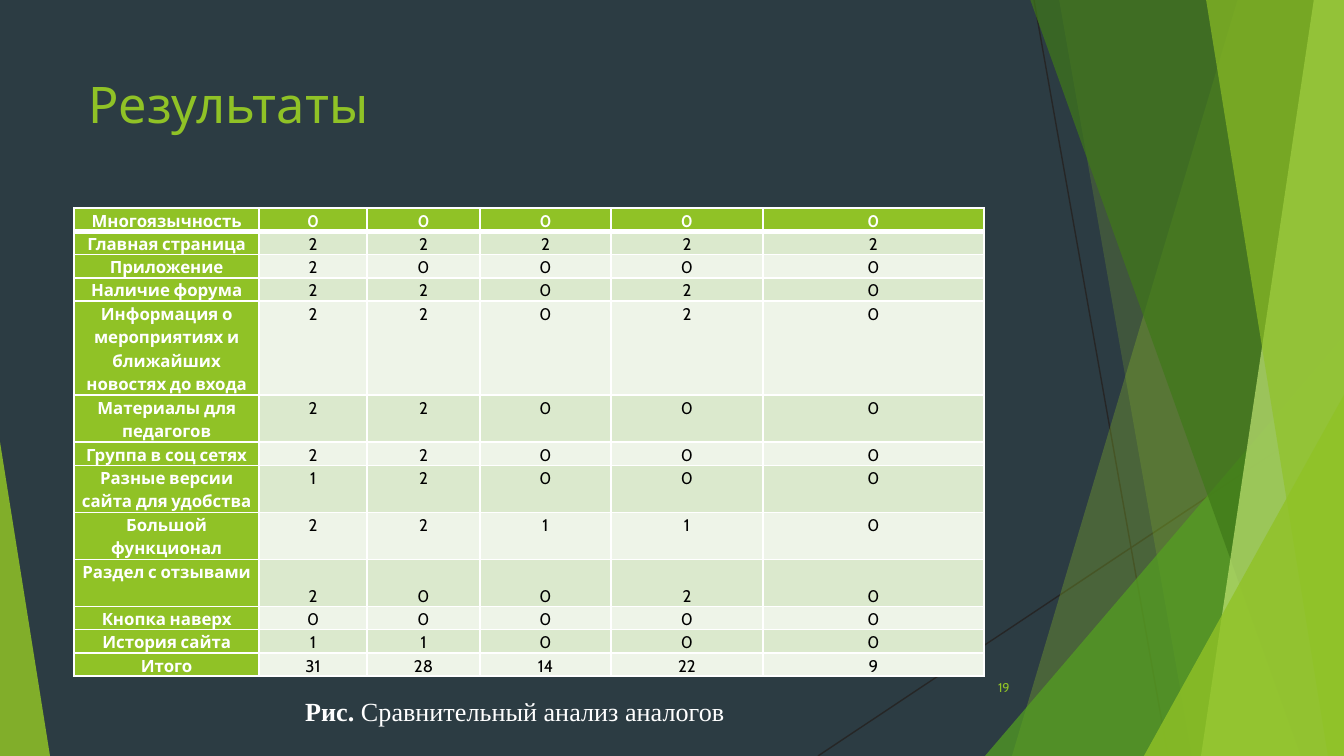
import dataclasses
import typing

import pptx
import pptx.dml.color
import pptx.enum.shapes
import pptx.enum.text
import pptx.oxml
import pptx.oxml.ns
import pptx.util

EMU_PER_PX = 914400 / 134.4
SLIDE_WIDTH, SLIDE_HEIGHT = 1344, 756

RGBColor = pptx.dml.color.RGBColor
BACKGROUND = RGBColor(0x2C, 0x3C, 0x43)
LIME = RGBColor(0x90, 0xC2, 0x26)
GREEN = RGBColor(0x54, 0xA0, 0x21)
FOREST = RGBColor(0x3F, 0x78, 0x19)
PALE_LIME = RGBColor(0xC0, 0xE4, 0x74)
CHARCOAL = RGBColor(0x26, 0x26, 0x26)
WHITE = RGBColor(0xFF, 0xFF, 0xFF)
BLACK = RGBColor(0x00, 0x00, 0x00)
BANDS = (RGBColor(0xEE, 0xF4, 0xE8), RGBColor(0xDB, 0xE9, 0xCD))

BODY_FONT = "Cabin"
CAPTION_FONT = "Times New Roman"
ALIGN = pptx.enum.text.PP_ALIGN
ANCHOR = pptx.enum.text.MSO_ANCHOR


@dataclasses.dataclass
class Panel:
    """Band reaching the right edge, with a slanted left side."""
    top_x: int
    bottom_x: int
    color: RGBColor
    opacity: int


@dataclasses.dataclass
class Corner:
    """Right triangle standing on the bottom edge."""
    left: int
    top: int
    width: int
    apex: int
    color: RGBColor
    opacity: int


@dataclasses.dataclass
class Criterion:
    label: str
    scores: tuple[int, ...]
    lines: int = 1
    anchor: ANCHOR = ANCHOR.TOP


RAYS = [(1034, 0, 1168, 756), (1344, 406, 818, 756)]

FACETS = [
    Panel(1238, 1012, LIME, 30),
    Panel(1059, 1192, LIME, 20),
    Corner(985, 336, 359, 1, GREEN, 72),
    Panel(1030, 1301, FOREST, 70),
    Panel(1314, 1201, PALE_LIME, 70),
    Panel(1206, 1328, LIME, 65),
    Corner(1144, 395, 200, 1, LIME, 80),
    Corner(0, 442, 50, 0, LIME, 85),
]

COLUMN_WIDTHS = [185, 108, 113, 131, 152, 221]
LINE_HEIGHT = 23
CRITERIA = [
    Criterion("Многоязычность", (0, 0, 0, 0, 0)),
    Criterion("Главная страница", (2, 2, 2, 2, 2)),
    Criterion("Приложение", (2, 0, 0, 0, 0)),
    Criterion("Наличие форума", (2, 2, 0, 2, 0)),
    Criterion("Информация о мероприятиях и ближайших новостях до входа", (2, 2, 0, 2, 0), 4),
    Criterion("Материалы для педагогов", (2, 2, 0, 0, 0), 2),
    Criterion("Группа в соц сетях", (2, 2, 0, 0, 0)),
    Criterion("Разные версии сайта для удобства", (1, 2, 0, 0, 0), 2),
    Criterion("Большой функционал", (2, 2, 1, 1, 0), 2),
    Criterion("Раздел с отзывами", (2, 0, 0, 2, 0), 2, ANCHOR.BOTTOM),
    Criterion("Кнопка наверх", (0, 0, 0, 0, 0)),
    Criterion("История сайта", (1, 1, 0, 0, 0)),
    Criterion("Итого", (31, 28, 14, 22, 9)),
]


def px(length: int) -> pptx.util.Emu:
    return pptx.util.Emu(round(length * EMU_PER_PX))


def paint(shape: typing.Any, color: RGBColor, opacity: int) -> None:
    shape.shadow.inherit = False
    shape.line.fill.background()
    shape.fill.solid()
    shape.fill.fore_color.rgb = color
    color_element = shape.fill._xPr.find(".//" + pptx.oxml.ns.qn("a:srgbClr"))
    alpha = pptx.oxml.parse_xml(f'<a:alpha {pptx.oxml.ns.nsdecls("a")} val="{opacity * 1000}"/>')
    color_element.append(alpha)


def draw_ray(slide: typing.Any, x1: int, y1: int, x2: int, y2: int) -> None:
    straight = pptx.enum.shapes.MSO_CONNECTOR.STRAIGHT
    ray = slide.shapes.add_connector(straight, px(x1), px(y1), px(x2), px(y2))
    ray.line.color.rgb = CHARCOAL
    ray.line.width = pptx.util.Pt(0.75)
    effects = pptx.oxml.parse_xml(f'<a:effectLst {pptx.oxml.ns.nsdecls("a")}/>')
    ray._element.spPr.append(effects)


def draw_panel(slide: typing.Any, panel: Panel) -> None:
    builder = slide.shapes.build_freeform(panel.top_x, -1, scale=EMU_PER_PX)
    builder.add_line_segments(
        [(SLIDE_WIDTH, -1), (SLIDE_WIDTH, SLIDE_HEIGHT), (panel.bottom_x, SLIDE_HEIGHT)])
    paint(builder.convert_to_shape(), panel.color, panel.opacity)


def draw_corner(slide: typing.Any, corner: Corner) -> None:
    shape = slide.shapes.add_shape(
        pptx.enum.shapes.MSO_SHAPE.ISOSCELES_TRIANGLE,
        px(corner.left), px(corner.top), px(corner.width), px(SLIDE_HEIGHT - corner.top))
    shape.adjustments[0] = corner.apex
    paint(shape, corner.color, corner.opacity)


def format_run(run: typing.Any, size: float, color: RGBColor,
               font: str = BODY_FONT, bold: bool = False) -> None:
    run.font.size = pptx.util.Pt(size)
    run.font.name = font
    run.font.bold = bold
    run.font.color.rgb = color


def add_text(slide: typing.Any, left: int, top: int, width: int, height: int, text: str) -> typing.Any:
    box = slide.shapes.add_textbox(px(left), px(top), px(width), px(height))
    box.text_frame.word_wrap = True
    box.text_frame.text = text
    return box.text_frame


def add_borders(cell: typing.Any, widths: dict[str, int]) -> None:
    for side, points in widths.items():
        cell._tc.get_or_add_tcPr().append(pptx.oxml.parse_xml(
            f'<a:ln{side} {pptx.oxml.ns.nsdecls("a")} w="{pptx.util.Pt(points)}">'
            f'<a:solidFill><a:srgbClr val="{WHITE}"/></a:solidFill></a:ln{side}>'))


def fill_cell(cell: typing.Any, text: str, row: int, accented: bool) -> None:
    cell.margin_left = cell.margin_right = px(3)
    cell.margin_top = cell.margin_bottom = 0
    add_borders(cell, {"L": 1, "R": 1, "T": 3 if row == 1 else 1, "B": 3 if row == 0 else 1})
    cell.fill.solid()
    cell.fill.fore_color.rgb = LIME if accented else BANDS[row % 2]
    cell.text_frame.text = text
    paragraph = cell.text_frame.paragraphs[0]
    paragraph.alignment = ALIGN.CENTER
    paragraph.line_spacing = 1.15
    format_run(paragraph.runs[0], 9, WHITE if accented else BLACK, bold=accented)


def draw_table(slide: typing.Any, left: int, top: int) -> None:
    total_lines = sum(criterion.lines for criterion in CRITERIA)
    table = slide.shapes.add_table(
        len(CRITERIA), len(COLUMN_WIDTHS), px(left), px(top),
        px(sum(COLUMN_WIDTHS)), px(total_lines * LINE_HEIGHT)).table
    for column, width in zip(table.columns, COLUMN_WIDTHS):
        column.width = px(width)
    for row, criterion in enumerate(CRITERIA):
        table.rows[row].height = px(criterion.lines * LINE_HEIGHT + criterion.lines // 2)
        fill_cell(table.cell(row, 0), criterion.label, row, True)
        for column, score in enumerate(criterion.scores, start=1):
            cell = table.cell(row, column)
            fill_cell(cell, str(score), row, row == 0)
            cell.vertical_anchor = criterion.anchor


def main() -> None:
    presentation = pptx.Presentation()
    presentation.slide_width, presentation.slide_height = px(SLIDE_WIDTH), px(SLIDE_HEIGHT)
    slide = presentation.slides.add_slide(presentation.slide_layouts[6])
    slide.background.fill.solid()
    slide.background.fill.fore_color.rgb = BACKGROUND

    # Faceted decoration
    for ray in RAYS:
        draw_ray(slide, *ray)
    for facet in FACETS:
        if isinstance(facet, Panel):
            draw_panel(slide, facet)
        else:
            draw_corner(slide, facet)

    # Title and slide number
    title = add_text(slide, 75, 67, 948, 145, "Результаты")
    format_run(title.paragraphs[0].runs[0], 27, LIME)
    number = add_text(slide, 948, 667, 75, 40, "19")
    number.vertical_anchor = ANCHOR.MIDDLE
    number.paragraphs[0].alignment = ALIGN.RIGHT
    format_run(number.paragraphs[0].runs[0], 6.8, LIME)

    # Comparison table and its caption
    draw_table(slide, 74, 208)
    caption = add_text(slide, 292, 689, 487, 46, "Рис. ").paragraphs[0]
    caption.add_run().text = "Сравнительный анализ аналогов"
    for run, bold in zip(caption.runs, (True, False)):
        format_run(run, 14, WHITE, CAPTION_FONT, bold)

    presentation.save("out.pptx")


if __name__ == "__main__":
    main()
